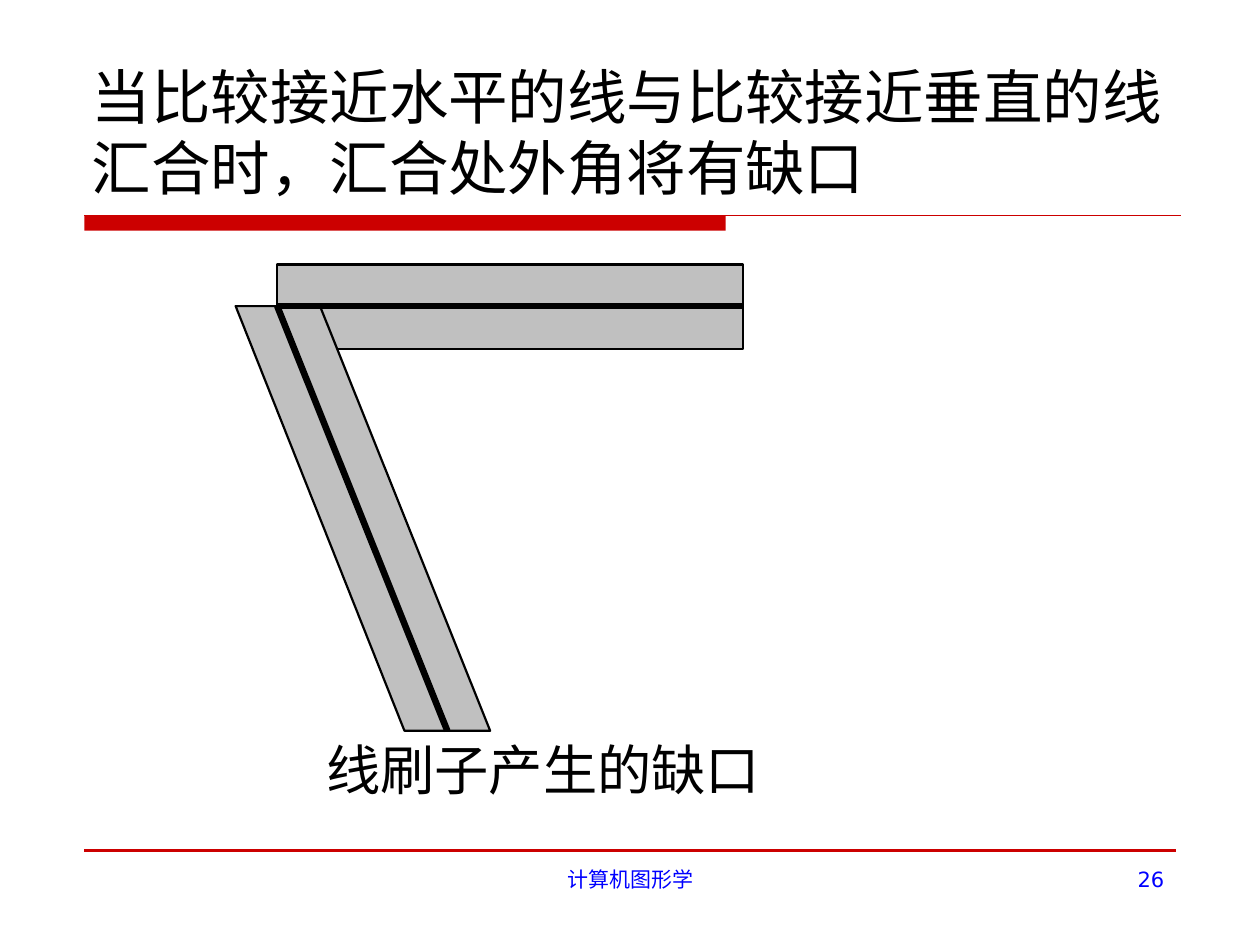
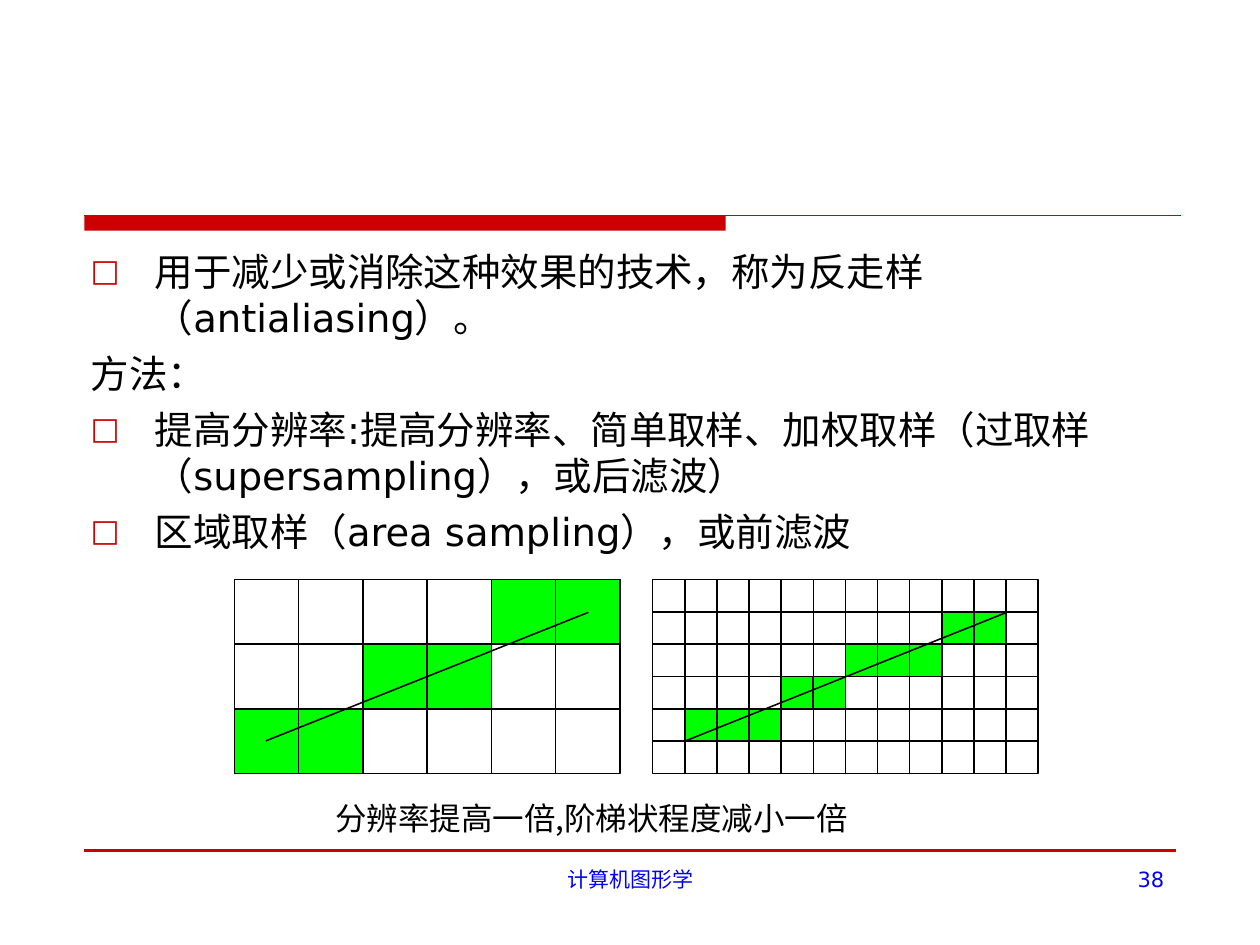
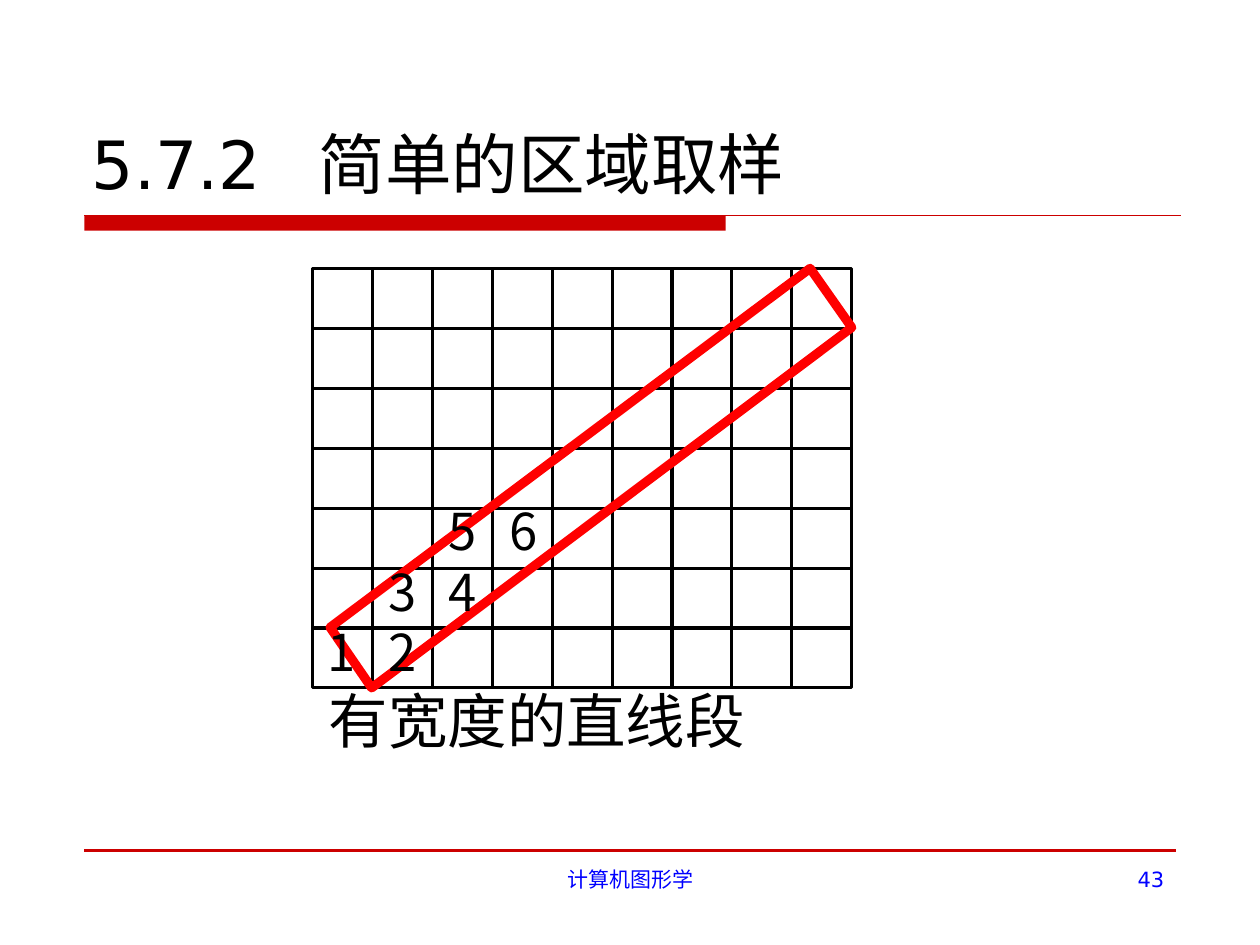
"""Build three slides on line gaps, antialiasing and area sampling."""
from lxml.etree import SubElement
from pptx import Presentation
from pptx.dml.color import RGBColor
from pptx.enum.shapes import MSO_CONNECTOR as CONN, MSO_SHAPE as SHAPE
from pptx.enum.text import MSO_ANCHOR as ANCHOR, MSO_AUTO_SIZE as AUTO, PP_ALIGN as ALIGN
from pptx.oxml.ns import qn
from pptx.util import Inches, Pt

COLORS = {"red": "CC0000", "outline": "FF0000", "blue": "0000FF",
          "black": "000000", "gray": "C0C0C0", "green": "00FF00"}
LATIN, CJK = "DejaVu Sans", "Noto Sans CJK SC"


def style(sp, color, width, fill=None):
    if hasattr(sp, "fill"):
        if fill:
            sp.fill.solid()
            sp.fill.fore_color.rgb = RGBColor.from_string(COLORS[fill])
        else:
            sp.fill.background()
    if color:
        sp.line.color.rgb = RGBColor.from_string(COLORS[color])
        sp.line.width = Pt(width)
    else:
        sp.line.fill.background()
    SubElement(sp.element.spPr, qn("a:effectLst"))


def write(sp, text, size, font=LATIN, color="black", align=ALIGN.LEFT, inset=None):
    tf = sp.text_frame
    tf.word_wrap = True
    tf.auto_size = AUTO.NONE
    if inset is not None:
        tf.margin_left = tf.margin_right = tf.margin_top = tf.margin_bottom = Inches(inset)
    for i, line in enumerate(text.split("\n")):
        p = tf.add_paragraph() if i else tf.paragraphs[0]
        p.alignment = align
        r = p.add_run()
        r.text = line
        r.font.size = Pt(size)
        r.font.name = font
        r.font.color.rgb = RGBColor.from_string(COLORS[color])
        SubElement(r.font._element, qn("a:ea"), typeface=font)


prs = Presentation()
prs.slide_width, prs.slide_height = Inches(10), Inches(7.5)

pages = [
    (5, "26", "当比较接近水平的线与比较接近垂直的线汇合时，汇合处外角将有缺口", 34),
    (1, "38", None, None),
    (5, "43", "5.7.2\t简单的区域取样", 38),
]
for layout, number, title, size in pages:
    s = prs.slides.add_slide(prs.slide_layouts[layout])
    band = s.shapes.add_shape(SHAPE.RECTANGLE, Inches(0.67), Inches(1.71), Inches(5.09), Inches(0.12))
    style(band, None, 0, "red")
    for right, y, width in [(9.37, 1.71, 0.75), (9.33, 6.75, 2.25)]:
        rule = s.shapes.add_connector(CONN.STRAIGHT, Inches(0.67), Inches(y), Inches(right), Inches(y))
        style(rule, "red", width)
    for x, w, text, align in [(3.42, 3.17, "计算机图形学", ALIGN.CENTER), (7.17, 2.17, number, ALIGN.RIGHT)]:
        sp = s.shapes.add_textbox(Inches(x), Inches(6.83), Inches(w), Inches(0.52))
        write(sp, text, 12, color="blue", align=align)
    sp = s.shapes.title
    if title:
        sp.left, sp.top, sp.width, sp.height = Inches(0.63), Inches(0.33), Inches(8.75), Inches(1.33)
        write(sp, title, size)
        sp.text_frame.vertical_anchor = ANCHOR.BOTTOM
    else:
        sp.element.getparent().remove(sp.element)

gap, anti, area = prs.slides

tabs = SubElement(area.shapes.title.text_frame.paragraphs[0]._p.get_or_add_pPr(), qn("a:tabLst"))
SubElement(tabs, qn("a:tab"), pos=str(Inches(1.8)), algn="l")

bar = gap.shapes.add_shape(SHAPE.RECTANGLE, Inches(2.2), Inches(2.1), Inches(3.7), Inches(0.67))
style(bar, "black", 1.25, "gray")

outlines = [
    (gap, [(3.89, 5.8), (3.21, 5.8), (1.87, 2.43), (2.54, 2.43)], "black", 1.25, "gray"),
    (area, [(6.43, 2.13), (6.76, 2.6), (2.95, 5.46), (2.62, 4.98)], "outline", 5.25, None),
]
grids = [
    (anti, 1.86, 4.6, 3.06, 1.54, 6, 3, 0.88,
     [(0, 2), (1, 2), (2, 1), (3, 1), (4, 0), (5, 0)]),
    (anti, 5.18, 4.6, 3.06, 1.54, 12, 6, 0.88,
     [(1, 4), (2, 4), (3, 4), (4, 3), (5, 3), (6, 2), (7, 2), (8, 2), (9, 1), (10, 1)]),
    (area, 2.48, 2.13, 4.28, 3.33, 9, 7, 1.75, []),
]
for s, left, top, w, h, cols, rows, weight, cells in grids:
    dx, dy = w / cols, h / rows
    frame = s.shapes.add_shape(SHAPE.RECTANGLE, Inches(left), Inches(top), Inches(w), Inches(h))
    style(frame, "black", weight)
    ends = [(left, top + i * dy, left + w, top + i * dy) for i in range(1, rows)]
    ends += [(left + i * dx, top, left + i * dx, top + h) for i in range(1, cols)]
    for end in ends:
        style(s.shapes.add_connector(CONN.STRAIGHT, *map(Inches, end)), "black", weight)
    for col, row in cells:
        cell = s.shapes.add_shape(SHAPE.RECTANGLE, Inches(left + col * dx), Inches(top + row * dy),
                                  Inches(dx), Inches(dy))
        style(cell, "black", weight, "green")

for s, points, color, width, fill in outlines:
    points = [(Inches(x), Inches(y)) for x, y in points]
    builder = s.shapes.build_freeform(*points[0])
    builder.add_line_segments(points[1:], close=True)
    style(builder.convert_to_shape(), color, width, fill)

strokes = [
    (gap, (2.2, 2.43, 5.9, 2.43), 3.75),
    (gap, (2.2, 2.43, 3.55, 5.8), 3.75),
    (anti, (2.11, 5.88, 4.67, 4.86), 0.88),
    (anti, (5.44, 5.88, 7.99, 4.86), 0.88),
]
for s, end, width in strokes:
    style(s.shapes.add_connector(CONN.STRAIGHT, *map(Inches, end)), "black", width)

body = anti.placeholders[1]
body.left, body.top, body.width, body.height = Inches(0.62), Inches(1.92), Inches(8.8), Inches(2.67)
write(body, "用于减少或消除这种效果的技术，称为反走样（antialiasing）。\n"
            "方法：\n"
            "提高分辨率:提高分辨率、简单取样、加权取样（过取样（supersampling），或后滤波）\n"
            "区域取样（area sampling），或前滤波", 22)
for i, p in enumerate(body.text_frame.paragraphs):
    p.space_before = Pt(5.5 if i else 0)
    pPr = p._p.get_or_add_pPr()
    pPr.set("marL", str(Inches(0.51)))
    pPr.set("indent", str(-Inches(0.51)))
    if i == 1:
        SubElement(pPr, qn("a:buNone"))
    else:
        SubElement(SubElement(pPr, qn("a:buClr")), qn("a:srgbClr"), val=COLORS["red"])
        SubElement(pPr, qn("a:buSzPct"), val="80000")
        SubElement(pPr, qn("a:buFont"), typeface=LATIN)
        SubElement(pPr, qn("a:buChar"), char="□")

labels = [
    (gap, 2.59, 5.84, 3.6, 0.62, "线刷子产生的缺口", 31),
    (anti, 2.66, 6.34, 4.5, 0.36, "分辨率提高一倍,阶梯状程度减小一倍", 18),
    (area, 2.61, 5.43, 3.5, 0.68, "有宽度的直线段", 34),
]
for digit, (col, row) in enumerate([(0, 0), (1, 0), (1, 1), (2, 1), (2, 2), (3, 2)], 1):
    labels.append((area, 2.6 + col * 0.48, 4.93 - row * 0.48, 0.3, 0.58, str(digit), 29))
for s, x, y, w, h, text, size in labels:
    sp = s.shapes.add_textbox(Inches(x), Inches(y), Inches(w), Inches(h))
    write(sp, text, size, CJK, inset=0)

prs.save("out.pptx")
